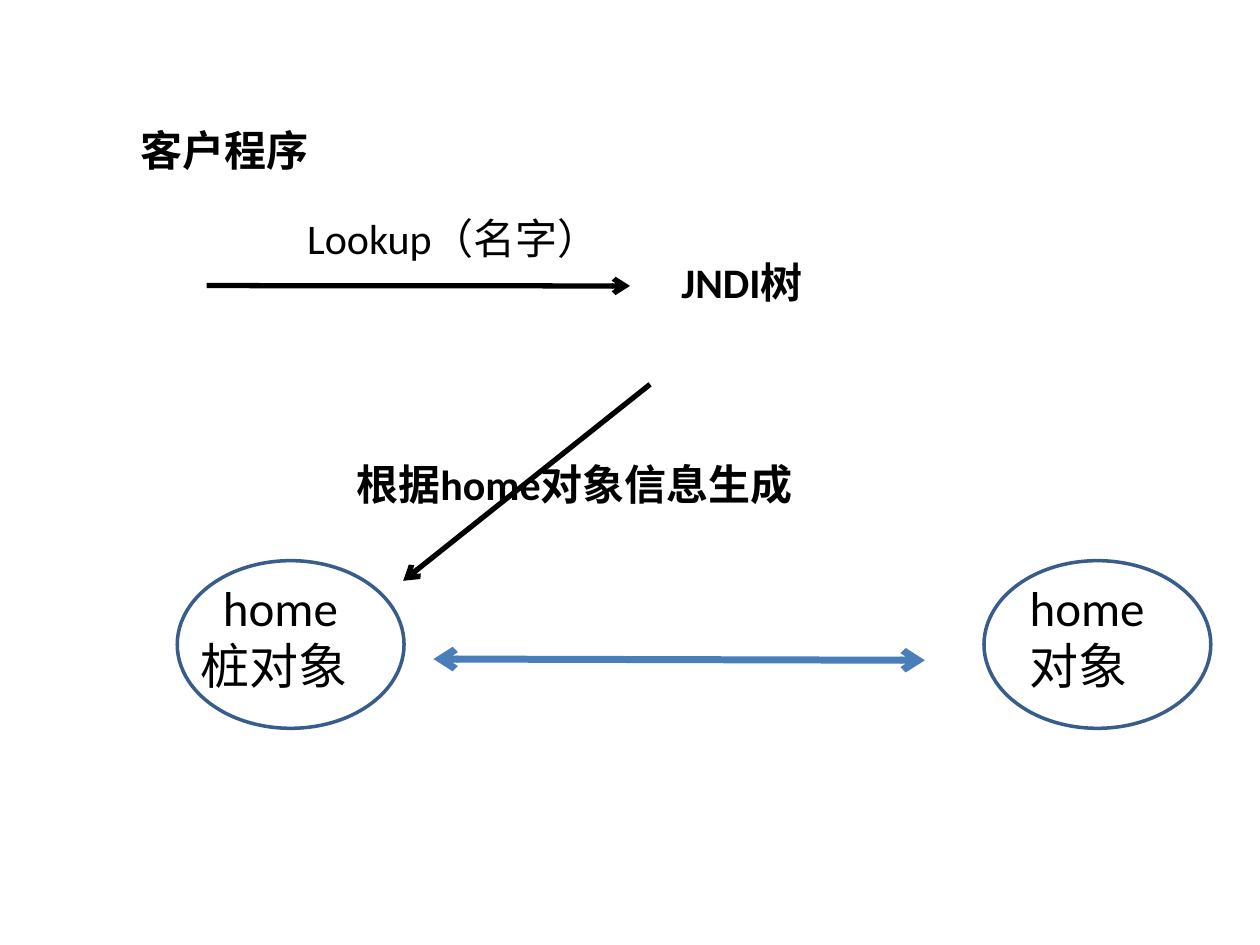
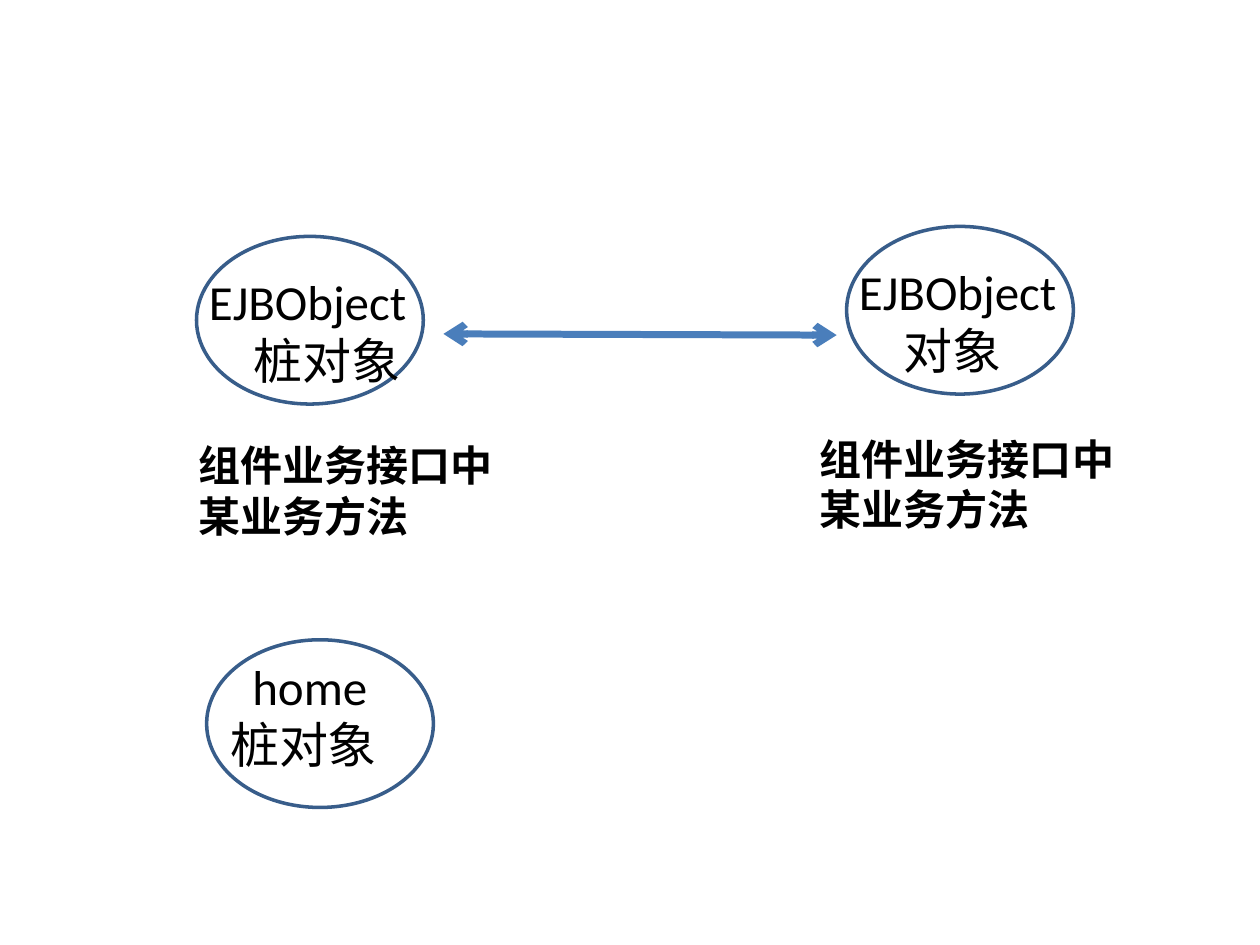
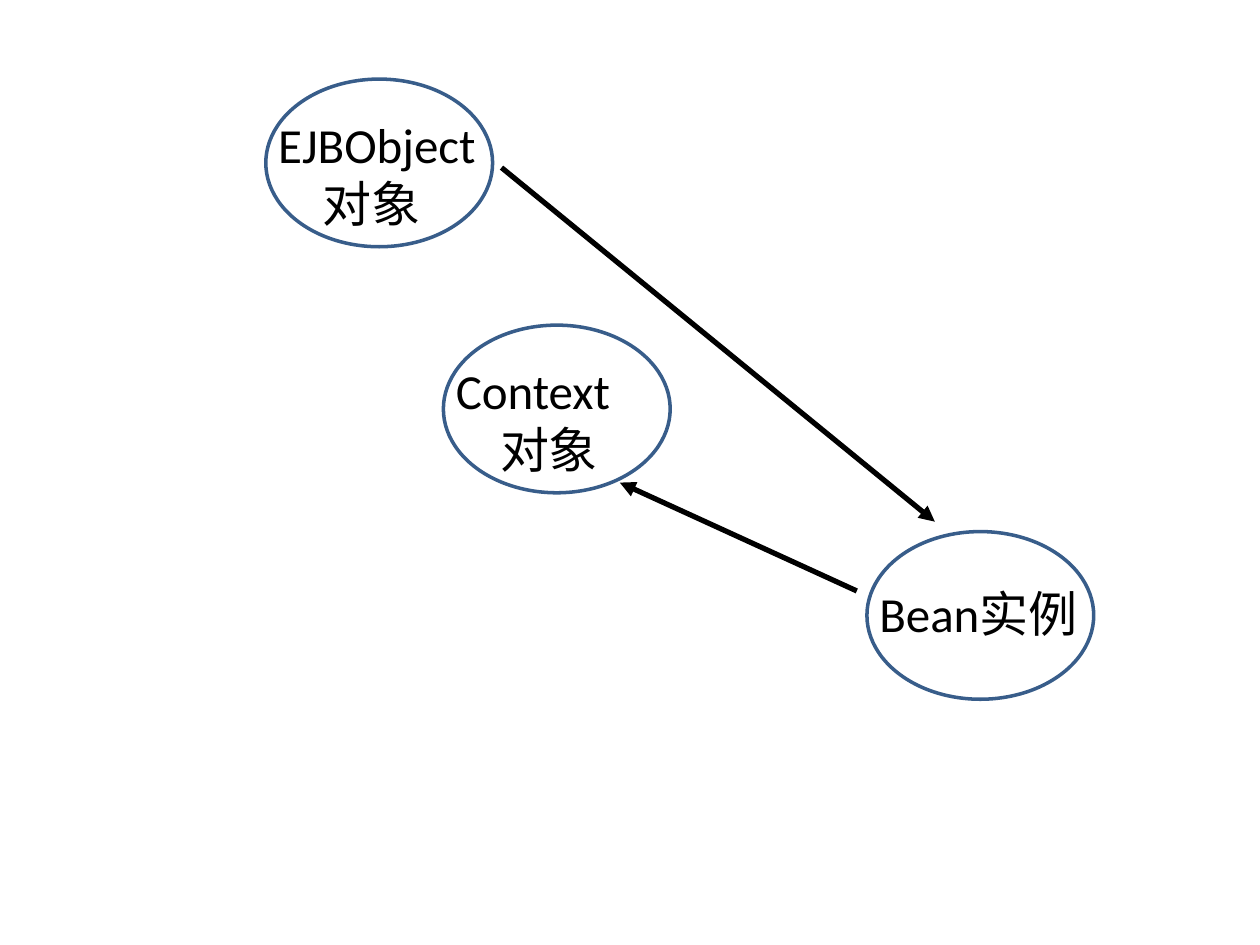
from lxml.etree import SubElement
from pptx import Presentation
from pptx.dml.color import RGBColor
from pptx.enum.shapes import MSO_CONNECTOR, MSO_SHAPE
from pptx.enum.text import MSO_AUTO_SIZE
from pptx.oxml.ns import qn
from pptx.util import Pt

# Shared style
FONT = "Calibri"
BLACK, RIM, BLUE = "000000", "385D8A", "4A7EBB"
LABEL, NODE = 24, 28
OVAL_W, OVAL_H = 129.6, 95.8
HOME_W, HOME_DROP, DROP = 118, 5.8, 16.6
STEP = 6.33  # one unit of indent


def rgb(text):
    return RGBColor.from_string(text)


class Deck:
    def __init__(self):
        self.prs = Presentation()
        self.prs.slide_width, self.prs.slide_height = Pt(720), Pt(540)
        self.slide = None

    def page(self):
        self.slide = self.prs.slides.add_slide(self.prs.slide_layouts[6])

    def text(self, left, top, width, height, lines, size=LABEL, bold=False, home=None):
        """Each line is a pair: words and indent steps."""
        shapes = (home or self.slide).shapes
        box = shapes.add_textbox(Pt(left), Pt(top), Pt(width), Pt(height))
        frame = box.text_frame
        frame.word_wrap = True
        frame.auto_size = MSO_AUTO_SIZE.SHAPE_TO_FIT_TEXT
        for i, (words, steps) in enumerate(lines):
            para = frame.add_paragraph() if i else frame.paragraphs[0]
            para._p.get_or_add_pPr().set("marL", str(Pt(steps * STEP)))
            run = para.add_run()
            run.text = words
            font = run.font
            font.name, font.size, font.bold = FONT, Pt(size), bold
            font.color.rgb = rgb(BLACK)

    def label(self, left, top, width, words, bold=True, height=36):
        self.text(left, top, width, height, [(words, 0)], bold=bold)

    def node(self, left, top, lines, drop=DROP, width=OVAL_W):
        """An oval grouped with its caption."""
        group = self.slide.shapes.add_group_shape()
        oval = group.shapes.add_shape(
            MSO_SHAPE.OVAL, Pt(left), Pt(top), Pt(OVAL_W), Pt(OVAL_H))
        oval.shadow.inherit = False
        oval.fill.background()
        oval.line.color.rgb = rgb(RIM)
        oval.line.width = Pt(2)
        self.text(left, top + drop, width, 75, lines, NODE, home=group)

    def arrow(self, start, end, tip="arrow", color=BLACK, width=3, both=False):
        link = self.slide.shapes.add_connector(
            MSO_CONNECTOR.STRAIGHT, *map(Pt, start + end))
        link.line.color.rgb = rgb(color)
        link.line.width = Pt(width)
        ln = link.line._get_or_add_ln()
        for tag in ("a:headEnd", "a:tailEnd") if both else ("a:tailEnd",):
            SubElement(ln, qn(tag), type=tip)
        SubElement(link._element.spPr, qn("a:effectLst"))

    def bridge(self, start, end):
        self.arrow(start, end, color=BLUE, width=4, both=True)


def main():
    deck = Deck()
    stub = [("home", 3), ("桩对象", 1)]
    remote = [("EJBObject", 0), ("对象", 4)]

    # Lookup of the home object
    deck.page()
    deck.label(73.4, 67.7, 112.3, "客户程序")
    deck.arrow((118.1, 163.2), (360, 163.4))
    deck.label(168.5, 118.1, 230.4, "Lookup（名字）", bold=False)
    deck.label(382.3, 143.3, 118.1, "JNDI树")
    deck.arrow((371.5, 219.6), (230.4, 331.9))
    for left, lines in ((101.3, stub), (562.3, [("home", 3), ("对象", 3)])):
        deck.node(left, 320.4, lines, HOME_DROP, HOME_W)
    deck.label(196.6, 258.5, 275.8, "根据home对象信息生成")
    deck.bridge((247.7, 376.6), (528.5, 377.3))

    # Business method call
    deck.page()
    deck.node(118.1, 365.6, stub, HOME_DROP, HOME_W)
    deck.node(112.3, 135.1, [("EJBObject", 0), ("桩对象", 4)])
    deck.node(483.8, 129.4, remote)
    for left, top in ((106.6, 247.7), (461.5, 244.1)):
        deck.label(left, top, 191.5, "组件业务接口中某业务方法", height=65)
    deck.bridge((253.4, 190.8), (478.1, 191.5))

    # Bean instance and its context
    deck.page()
    deck.node(253.4, 185.8, [("Context", 0), ("对象", 4)])
    deck.node(495.4, 303.8, [("Bean实例", 0)], drop=25.9)
    deck.arrow((489.6, 337.7), (354.2, 275.8), "triangle")
    deck.node(151.9, 45.2, remote)
    deck.arrow((286.6, 95.8), (534.2, 298.1), "triangle")

    deck.prs.save("out.pptx")


if __name__ == "__main__":
    main()
